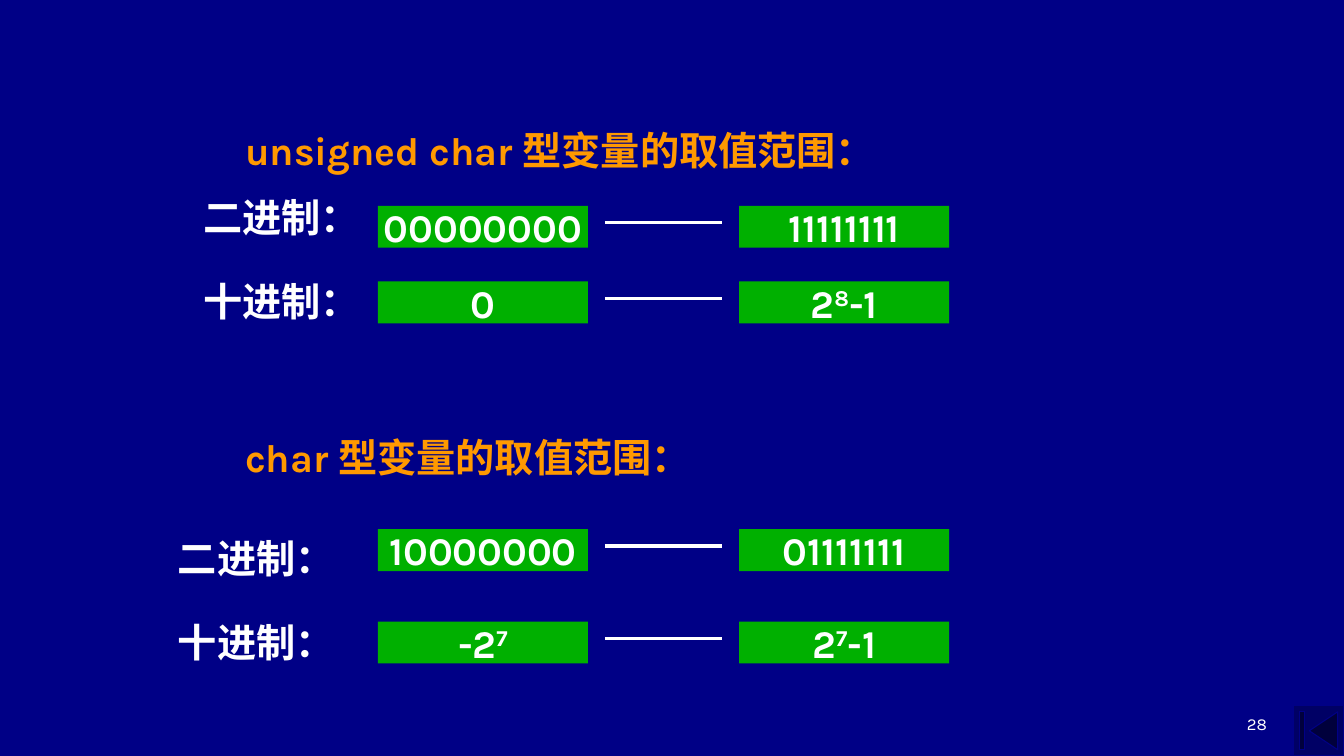
from lxml import etree
from pptx import Presentation
from pptx.dml.color import RGBColor
from pptx.enum.shapes import MSO_CONNECTOR as Link, MSO_SHAPE as Kind
from pptx.enum.text import MSO_ANCHOR as Anchor, PP_ALIGN as Align
from pptx.oxml.ns import qn
from pptx.util import Inches, Pt

NAVY = RGBColor(0x00, 0x00, 0x86)
DARK = RGBColor(0x00, 0x00, 0x65)
GREEN = RGBColor(0x00, 0xB0, 0x00)
ORANGE = RGBColor(0xFF, 0x99, 0x00)
WHITE = RGBColor(0xFF, 0xFF, 0xFF)
FONT = "Karla"

BLOCKS = [
    {"title": "unsigned char 型变量的取值范围：", "top": 14.4, "wide": 89, "left": 23,
     "rows": [("二进制：", 22.4, 24.5, ["00000000"], ["11111111"]),
              ("十进制：", 32.4, 33.5, ["0"], ["2", "8", "-1"])]},
    {"title": "char 型变量的取值范围：", "top": 51, "wide": 64, "left": 20,
     "rows": [("二进制：", 63, 63, ["10000000"], ["01111111"]),
              ("十进制：", 73, 74, ["-2", "7"], ["2", "7", "-1"])]},
]
PAGE = "28"

COLS, ROWS = 160, 90
UNIT = Inches(1) / 12
HEAD, LOW, HIGH = 28, 45, 88
CELL_W, CELL_H = 25, 5
TEXT_H, LABEL_W = 6.8, 21
GAP, DROP = 2, 2


def grid(*vals):
    """Turn grid units into lengths."""
    return [round(v * UNIT) for v in vals]


def write(shape, parts, size=28, color=WHITE, bold=True, align=Align.LEFT,
          anchor=Anchor.TOP, wrap=True):
    """Fill a shape with text whose every second part is raised."""
    frame = shape.text_frame
    frame.word_wrap = wrap
    frame.vertical_anchor = anchor
    para = frame.paragraphs[0]
    para.alignment = align
    for i, part in enumerate(parts):
        run = para.add_run()
        run.text = part
        font = run.font
        font.name, font.size, font.bold = FONT, Pt(size), bold
        font.color.rgb = color
        if i % 2:
            run._r.get_or_add_rPr().set("baseline", "30000")


def block(slide, kind, box, fill):
    """Add a plain filled shape."""
    shape = slide.shapes.add_shape(kind, *grid(*box))
    shape.shadow.inherit = False
    shape.fill.solid()
    shape.fill.fore_color.rgb = fill
    shape.line.fill.background()
    return shape


def label(slide, box, text, **style):
    """Add a text box."""
    write(slide.shapes.add_textbox(*grid(*box)), [text], **style)


def span(slide, top, low, high):
    """Draw one range: two values and the line between them."""
    for left, parts in ((LOW, low), (HIGH, high)):
        cell = block(slide, Kind.RECTANGLE, (left, top, CELL_W, CELL_H), GREEN)
        write(cell, parts, align=Align.CENTER, anchor=Anchor.MIDDLE, wrap=False)
    y = top + DROP
    dash = slide.shapes.add_connector(
        Link.STRAIGHT, *grid(LOW + CELL_W + GAP, y, HIGH - GAP, y))
    dash.line.color.rgb = WHITE
    dash.line.width = Pt(2.25)
    etree.SubElement(dash._element.spPr, qn("a:effectLst"))


def main():
    """Build the slide of value ranges."""
    deck = Presentation()
    deck.slide_width, deck.slide_height = grid(COLS, ROWS)
    slide = deck.slides.add_slide(deck.slide_layouts[6])
    back = slide.background.fill
    back.solid()
    back.fore_color.rgb = NAVY

    button = block(slide, Kind.ACTION_BUTTON_BEGINNING,
                   (COLS - 6, ROWS - 6, 6, 6), DARK)
    button.line.color.rgb = NAVY
    button.line.width = Pt(0.75)
    label(slide, (COLS - 45.3, ROWS - 8, 37.3, 6), PAGE, size=12, bold=False,
          align=Align.RIGHT, anchor=Anchor.BOTTOM)

    for part in BLOCKS:
        label(slide, (HEAD, part["top"], part["wide"], TEXT_H), part["title"],
              color=ORANGE)
        for name, top, cell, low, high in part["rows"]:
            label(slide, (part["left"], top, LABEL_W, TEXT_H), name)
            span(slide, cell, low, high)
    deck.save("out.pptx")


if __name__ == "__main__":
    main()
